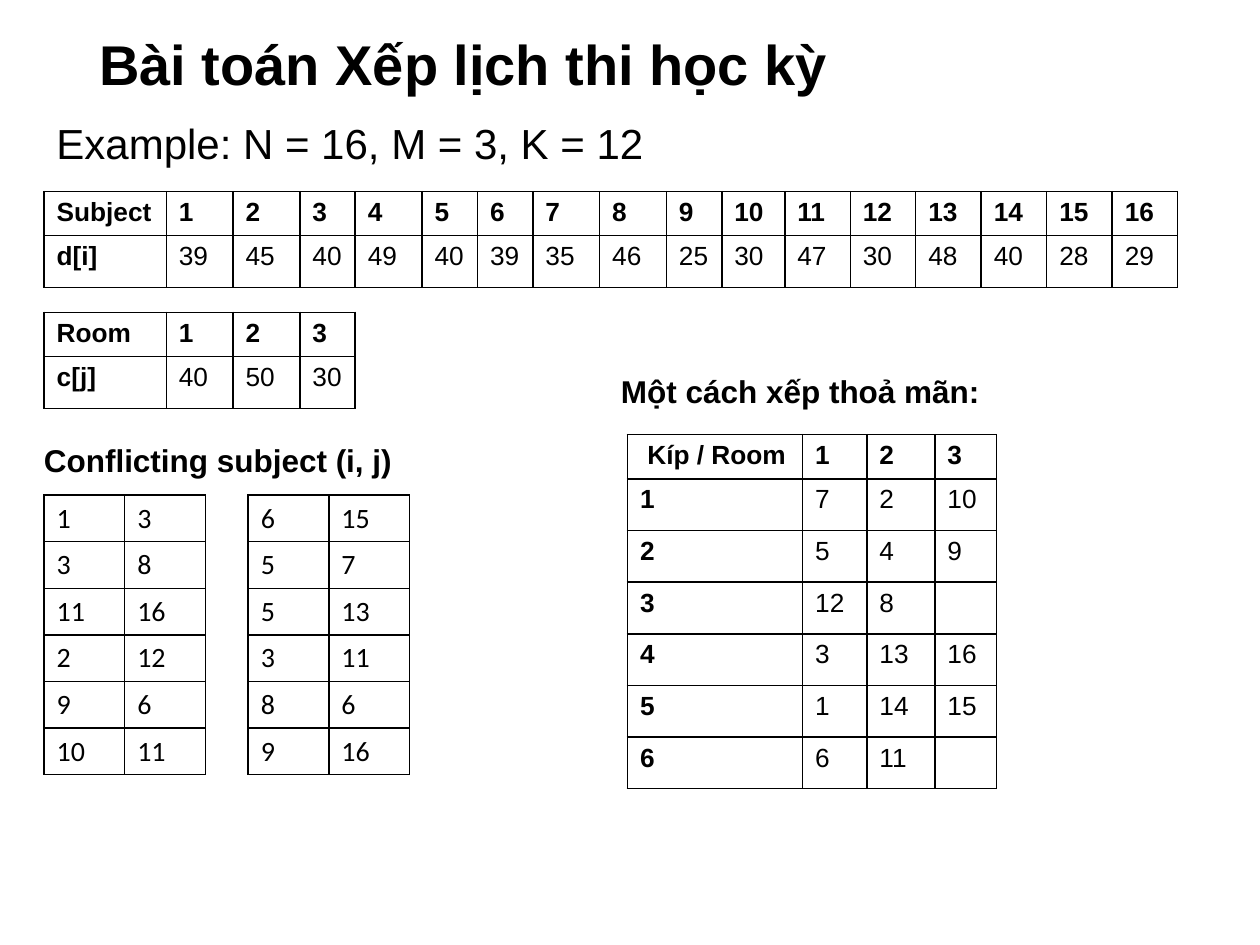
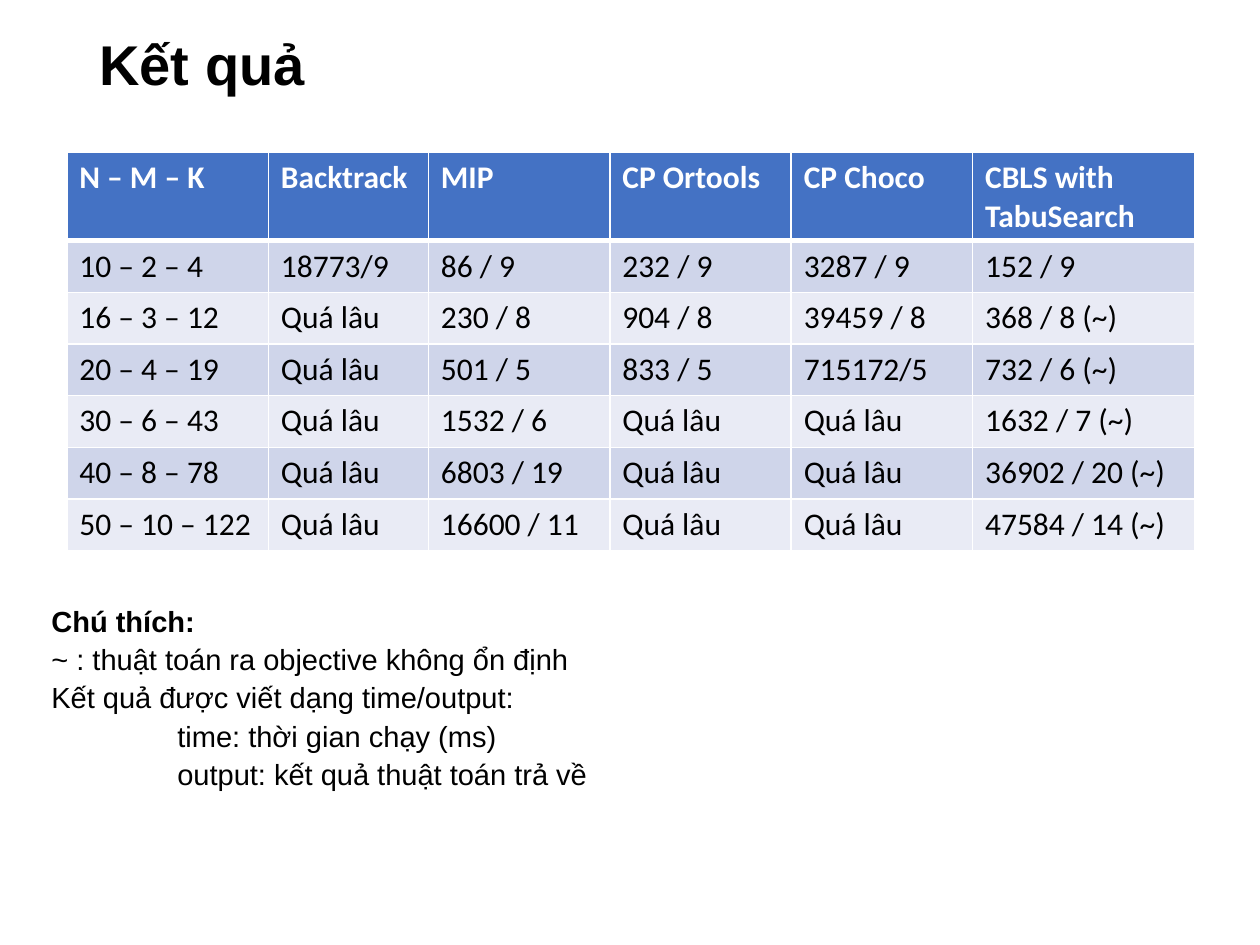
import pptx
import pptx.dml.color
import pptx.enum.text
import pptx.oxml
import pptx.oxml.ns
import pptx.util
from pptx.util import Inches

COLORS = {
    "text": "000000",
    "white": "FFFFFF",
    "header": "4472C4",
    "odd": "CFD5EA",
    "even": "E9EBF5",
}


class Deck:
    body_font = "Arial"
    table_font = "Calibri"

    def __init__(self):
        self.presentation = pptx.Presentation()
        self.presentation.slide_width = Inches(10)
        self.presentation.slide_height = Inches(7.5)
        self.slide = None

    def new_slide(self, title):
        layout = self.presentation.slide_layouts[6]
        self.slide = self.presentation.slides.add_slide(layout)
        frame = self.text((0.69, 0.13, 8.62, 0.81), [title], 32, bold=True, line_spacing=0.9)
        frame.vertical_anchor = pptx.enum.text.MSO_ANCHOR.MIDDLE

    def style(self, paragraph, size, font, bold=False, color="text"):
        paragraph.font.size = pptx.util.Pt(size)
        paragraph.font.name = font
        paragraph.font.bold = bold
        paragraph.font.color.rgb = pptx.dml.color.RGBColor.from_string(COLORS[color])

    def text(self, box, lines, size, bold=False, line_spacing=1.0, before=0, after=0):
        frame = self.slide.shapes.add_textbox(*map(Inches, box)).text_frame
        frame.word_wrap = True
        frame.text = "\n".join(lines)
        for paragraph in frame.paragraphs:
            self.style(paragraph, size, self.body_font, bold)
            paragraph.line_spacing = line_spacing
            paragraph.space_before = pptx.util.Pt(before)
            paragraph.space_after = pptx.util.Pt(after)
        return frame

    def border(self, cell, color, bottom=1):
        properties = cell._tc.get_or_add_tcPr()
        for side, points in (("L", 1), ("R", 1), ("T", 1), ("B", bottom)):
            properties.append(pptx.oxml.parse_xml(
                f'<a:ln{side} {pptx.oxml.ns.nsdecls("a")} w="{pptx.util.Pt(points)}">'
                f'<a:solidFill><a:srgbClr val="{COLORS[color]}"/></a:solidFill></a:ln{side}>'))

    def grid(self, left, top, widths, heights, rows):
        size = (sum(widths), sum(heights))
        frame = self.slide.shapes.add_table(
            len(rows), len(widths), *map(Inches, (left, top, *size)))
        table = frame.table
        table.first_row = table.horz_banding = False
        for column, width in zip(table.columns, widths):
            column.width = Inches(width)
        for row, height in zip(table.rows, heights):
            row.height = Inches(height)
        for r, values in enumerate(rows):
            for c, value in enumerate(values):
                cell = table.cell(r, c)
                cell.text = str(value)
                yield r, c, cell, cell.text_frame.paragraphs[0]

    def plain_table(self, left, top, widths, heights, rows, size=15, headed=True):
        font = self.body_font if headed else self.table_font
        for r, c, cell, paragraph in self.grid(left, top, widths, heights, rows):
            self.style(paragraph, size, font, headed and (r == 0 or c == 0))
            self.border(cell, "text")
            cell.fill.background()

    def banded_table(self, left, top, widths, heights, rows):
        for r, c, cell, paragraph in self.grid(left, top, widths, heights, rows):
            header = r == 0
            self.style(paragraph, 18, self.table_font, header, "white" if header else "text")
            self.border(cell, "white", bottom=3 if header else 1)
            fill = "header" if header else "odd" if r % 2 else "even"
            cell.fill.solid()
            cell.fill.fore_color.rgb = pptx.dml.color.RGBColor.from_string(COLORS[fill])


def build_example(deck):
    deck.new_slide("Bài toán Xếp lịch thi học kỳ")
    deck.text((0.35, 0.93, 9.37, 0.5), ["Example: N = 16, M = 3, K = 12"], 24,
              line_spacing=0.9, before=10)

    header, row = 0.34, 0.41
    room_widths = [0.97, 0.53, 0.53, 0.44]
    subject_widths = room_widths + [0.53, 0.44, 0.44, 0.53, 0.53, 0.44, 0.5] + [0.52] * 6
    students = [39, 45, 40, 49, 40, 39, 35, 46, 25, 30, 47, 30, 48, 40, 28, 29]
    deck.plain_table(0.35, 1.52, subject_widths, [header, row],
                     [["Subject", *range(1, 17)], ["d[i]", *students]])
    deck.plain_table(0.35, 2.48, room_widths, [header, row],
                     [["Room", 1, 2, 3], ["c[j]", 40, 50, 30]])

    deck.text((0.25, 3.45, 3.01, 0.4), ["Conflicting subject (i, j)"], 18, bold=True)
    conflicts = [
        [(1, 3), (3, 8), (11, 16), (2, 12), (9, 6), (10, 11)],
        [(6, 15), (5, 7), (5, 13), (3, 11), (8, 6), (9, 16)],
    ]
    for i, pairs in enumerate(conflicts):
        deck.plain_table(0.35 + 1.62 * i, 3.93, [0.64] * 2, [0.37] * 6, pairs,
                         size=16, headed=False)

    deck.text((4.83, 2.9, 3.08, 0.4), ["Một cách xếp thoả mãn:"], 18, bold=True)
    schedule = [(7, 2, 10), (5, 4, 9), (12, 8, ""), (3, 13, 16), (1, 14, 15), (6, 11, "")]
    deck.plain_table(4.98, 3.45, [1.39, 0.51, 0.54, 0.49], [header] + [row] * 6,
                     [[" Kíp / Room", 1, 2, 3]]
                     + [[slot, *subjects] for slot, subjects in enumerate(schedule, 1)])


def build_results(deck):
    deck.new_slide("Kết quả")
    slow = "Quá lâu"
    deck.banded_table(0.53, 1.21, [1.6, 1.27, 1.44, 1.44, 1.44, 1.76], [0.69] + [0.41] * 6, [
        ["N – M – K", "Backtrack", "MIP", "CP Ortools", "CP Choco", "CBLS with TabuSearch"],
        ["10 – 2 – 4", "18773/9", "86 / 9", "232 / 9", "3287 / 9", "152 / 9"],
        ["16 – 3 – 12", slow, "230 / 8", "904 / 8", "39459 / 8", "368 / 8 (~)"],
        ["20 – 4 – 19", slow, "501 / 5", "833 / 5", "715172/5", "732 / 6 (~)"],
        ["30 – 6 – 43", slow, "1532 / 6", slow, slow, "1632 / 7 (~)"],
        ["40 – 8 – 78", slow, "6803 / 19", slow, slow, "36902 / 20 (~)"],
        ["50 – 10 – 122", slow, "16600 / 11", slow, slow, "47584 / 14 (~)"],
    ])
    notes = deck.text((0.31, 4.79, 9.37, 1.7), [
        "Chú thích:",
        "~ : thuật toán ra objective không ổn định",
        "Kết quả được viết dạng time/output:",
        "time: thời gian chạy (ms)",
        "output: kết quả thuật toán trả về",
    ], 16.6, line_spacing=0.8, after=6).paragraphs
    notes[0].font.bold = True
    for definition in notes[3:]:
        definition._p.get_or_add_pPr().set("marL", str(Inches(1)))


def main():
    deck = Deck()
    build_example(deck)
    build_results(deck)
    deck.presentation.save("out.pptx")


if __name__ == "__main__":
    main()
